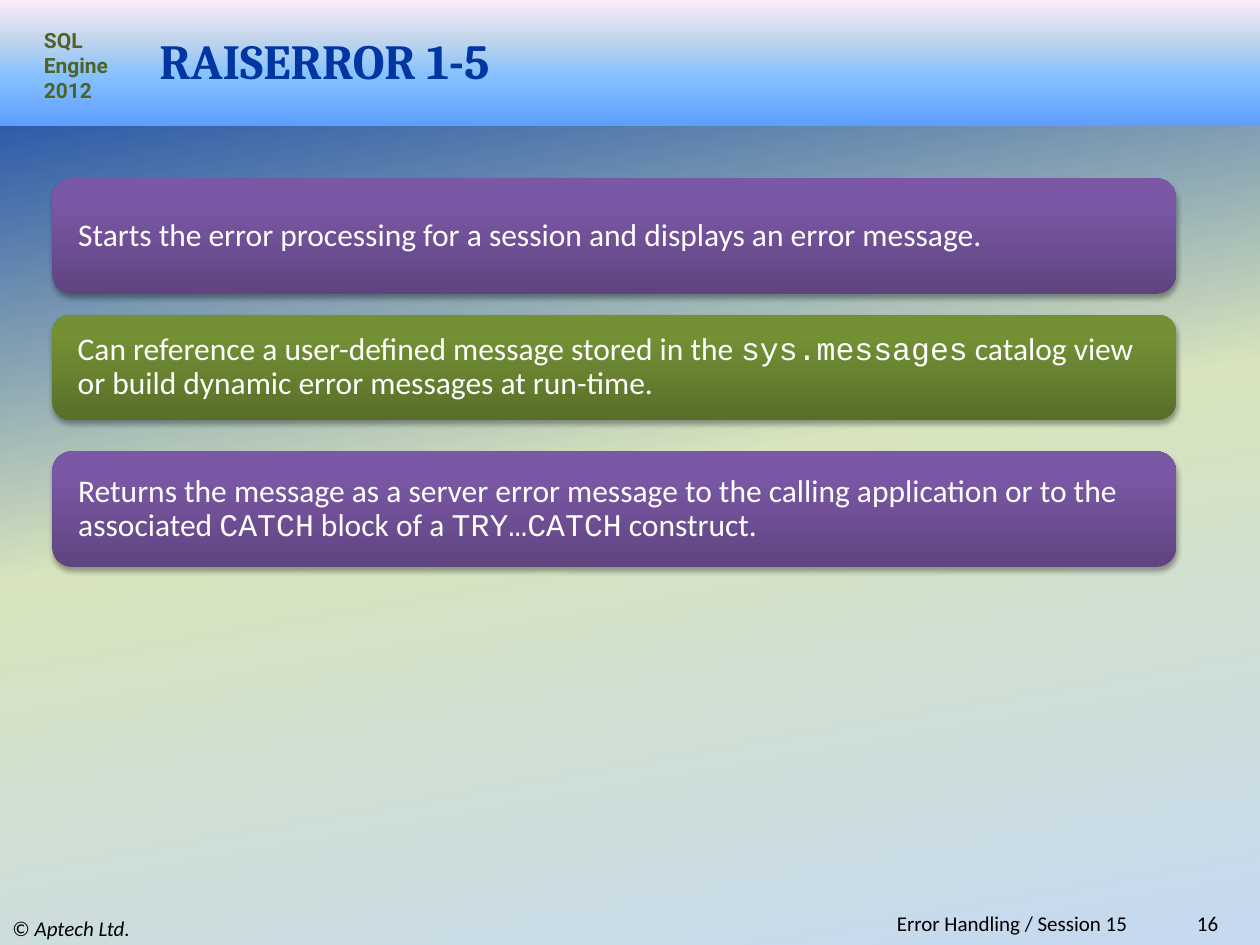
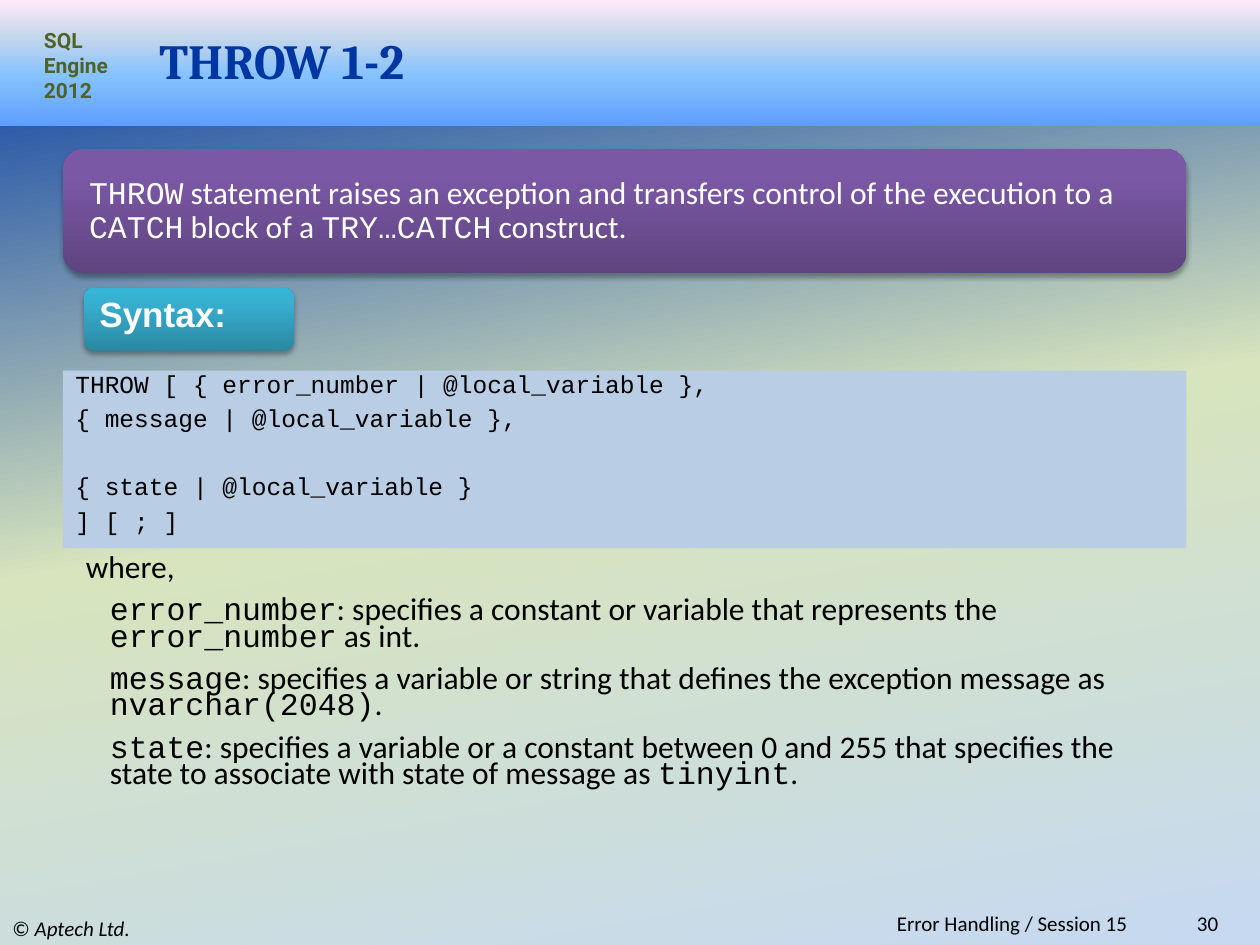
from lxml import etree
from pptx import Presentation
from pptx import util as u
from pptx.dml.color import RGBColor
from pptx.enum import shapes, text
from pptx.oxml import ns

NAVY = RGBColor(0x00, 0x36, 0xA2)
OLIVE = RGBColor(0x4F, 0x62, 0x28)
BLACK = RGBColor(0x00, 0x00, 0x00)
WHITE = RGBColor(0xFF, 0xFF, 0xFF)
PALE_BLUE = RGBColor(0xB9, 0xCD, 0xE5)
LIME = RGBColor(0xD7, 0xE4, 0xBD)
ICE = RGBColor(0xC6, 0xD9, 0xF1)

BACKDROP = [(0, NAVY), (50, LIME), (100, ICE)]
BAND = [(0, RGBColor(0x5E, 0x9E, 0xFF)), (40, RGBColor(0x85, 0xC2, 0xFF)),
        (70, RGBColor(0xC4, 0xD6, 0xEB)), (100, RGBColor(0xFF, 0xEB, 0xFA))]
PURPLE = [(0, RGBColor(0x5F, 0x44, 0x80)), (80, RGBColor(0x7B, 0x58, 0xA6)),
          (100, RGBColor(0x7C, 0x57, 0xA8))]
GREEN = [(0, RGBColor(0x59, 0x6F, 0x29)), (80, RGBColor(0x73, 0x90, 0x35)),
         (100, RGBColor(0x74, 0x93, 0x34))]
TEAL = [(0, RGBColor(0x2A, 0x88, 0xA2)), (80, RGBColor(0x37, 0xB1, 0xD2)),
        (100, RGBColor(0x34, 0xB4, 0xD6))]

BODY, CODE, HEAD, LABEL, BADGE = "Calibri", "Courier New", "Cambria", "Arial", "Roboto"
COLUMNS, ROWS = 120, 90
RECT = shapes.MSO_SHAPE.RECTANGLE
ROUNDED = shapes.MSO_SHAPE.ROUNDED_RECTANGLE
TOP, MIDDLE = text.MSO_ANCHOR.TOP, text.MSO_ANCHOR.MIDDLE
RIGHT = text.PP_ALIGN.RIGHT


def add_node(parent, tag, **attributes):
    node = etree.SubElement(parent, ns.qn(tag))
    for name, value in attributes.items():
        node.set(name, str(value))
    return node


def paint_gradient(fill, owner, stops, angle):
    fill.gradient()
    gradient = next(owner.iter(ns.qn("a:gradFill")))
    for child in list(gradient):
        gradient.remove(child)
    stop_list = add_node(gradient, "a:gsLst")
    for share, color in stops:
        stop = add_node(stop_list, "a:gs", pos=share * 1000)
        add_node(stop, "a:srgbClr", val=color)
    add_node(gradient, "a:lin", ang=angle * 60000, scaled=0)


class Deck:
    def __init__(self):
        self.deck = Presentation()
        self.deck.slide_width, self.deck.slide_height = u.Inches(10), u.Inches(7.5)
        self.page = None

    def cells(self, left, top, width, height):
        column = self.deck.slide_width / COLUMNS
        row = self.deck.slide_height / ROWS
        return [u.Emu(round(n * unit)) for n, unit in
                zip((left, top, width, height), (column, row, column, row))]

    def new_page(self, title, number):
        self.page = self.deck.slides.add_slide(self.deck.slide_layouts[6])
        paint_gradient(self.page.background.fill, self.page.element, BACKDROP, 80)
        self.panel((0, 0, 120, 12), BAND, RECT, shadow=False)
        mark = self.words((0, 86.8, 40, 3.2), ["© "], 12, anchor=MIDDLE)
        self.span(mark.paragraphs[0], "Aptech Ltd.", BODY, 12, BLACK, italic=True)
        self.words((3, 2, 9, 8.5), ["SQL Engine 2012"], 12, OLIVE, BADGE, bold=True)
        self.words((107, 86.8, 10.2, 2.2), [number], 12, anchor=MIDDLE, align=RIGHT)
        self.words((30, 86.8, 79, 2.2), ["Error Handling / Session 15 "], 12,
                   anchor=MIDDLE, align=RIGHT)
        self.words((14, 3, 100, 5.4), [title], 28, NAVY, HEAD, bold=True, anchor=MIDDLE)

    def panel(self, place, fill, kind=ROUNDED, shadow=True):
        box = self.page.shapes.add_shape(kind, *self.cells(*place))
        box.shadow.inherit = False
        box.line.fill.background()
        if isinstance(fill, RGBColor):
            box.fill.solid()
            box.fill.fore_color.rgb = fill
        else:
            paint_gradient(box.fill, box.element, fill, 270)
        if shadow:
            effects = next(box.element.iter(ns.qn("a:effectLst")))
            outer = add_node(effects, "a:outerShdw", blurRad=u.Pt(3.1), dist=u.Pt(1.8),
                             dir=90 * 60000, rotWithShape=0)
            add_node(add_node(outer, "a:srgbClr", val="000000"), "a:alpha", val=35000)
        return box

    def words(self, place, lines, size, color=BLACK, font=BODY, **style):
        box = self.page.shapes.add_textbox(*self.cells(*place))
        return self.fill_text(box, lines, size, color, font, **style)

    def fill_text(self, box, lines, size, color=BLACK, font=BODY, bold=False, anchor=TOP,
                  align=text.PP_ALIGN.LEFT, spacing=None, gaps=None, indent=0, inset=0.1):
        frame = box.text_frame
        frame.word_wrap = True
        frame.vertical_anchor = anchor
        frame.margin_left = frame.margin_right = u.Inches(inset)
        for index, line in enumerate(lines):
            para = frame.add_paragraph() if index else frame.paragraphs[0]
            para.alignment = align
            if spacing:
                para.line_spacing = spacing
            if index and gaps:
                para.space_before = u.Pt(gaps[index - 1])
            if index and indent:
                para._p.get_or_add_pPr().set("marL", str(u.Inches(indent)))
            for part, piece in enumerate(line.split("`")):
                if piece:
                    self.span(para, piece, CODE if part % 2 else font, size, color, bold)
        return frame

    def span(self, para, wording, font, size, color, bold=False, italic=False):
        span = para.add_run()
        span.text = wording
        span.font.name, span.font.size = font, u.Pt(size)
        span.font.bold, span.font.italic = bold, italic
        span.font.color.rgb = color

    def statement(self, place, fill, wording):
        self.fill_text(self.panel(place, fill), [wording], 18, WHITE,
                       anchor=MIDDLE, spacing=0.9, inset=0.16)

    def tag(self, place, wording):
        self.fill_text(self.panel(place, TEAL), [wording], 20, WHITE, LABEL,
                       bold=True, anchor=MIDDLE, spacing=0.7)

    def code(self, place, lines, gaps):
        self.fill_text(self.panel(place, PALE_BLUE, RECT, shadow=False), lines, 14,
                       font=CODE, spacing=0.7, gaps=gaps)

    def definitions(self, place, lines):
        self.words(place, lines, 18, spacing=0.7, gaps=[9] * (len(lines) - 1), indent=0.19)


def main():
    show = Deck()

    show.new_page("RAISERROR 1-5", "16")
    statements = [
        (17, 11, PURPLE,
         "Starts the error processing for a session and displays an error message."),
        (30, 10, GREEN,
         "Can reference a user-defined message stored in the `sys.messages` catalog view "
         "or build dynamic error messages at run-time."),
        (43, 11, PURPLE,
         "Returns the message as a server error message to the calling application or to "
         "the associated `CATCH` block of a `TRY…CATCH` construct."),
    ]
    for top, height, fill, wording in statements:
        show.statement((5, top, 107, height), fill, wording)

    show.new_page("THROW 1-2", "30")
    show.statement((6, 14.2, 107, 11.8), PURPLE,
                   "`THROW` statement raises an exception and transfers control of the "
                   "execution to a `CATCH` block of a `TRY…CATCH` construct.")
    show.code((6, 35.3, 107, 16.9),
              ["THROW [ { error_number | @local_variable },",
               "{ message | @local_variable },",
               "{ state | @local_variable }",
               "] [ ; ]"], gaps=[8, 27, 8])
    show.tag((8, 27.4, 20, 6), "Syntax:")
    show.definitions((7, 52.5, 106, 24.5), [
        "where,",
        "`error_number`: specifies a constant or variable that represents the "
        "`error_number` as int.",
        "`message`: specifies a variable or string that defines the exception message as "
        "`nvarchar(2048)`.",
        "`state`: specifies a variable or a constant between 0 and 255 that specifies the "
        "state to associate with state of message as `tinyint`.",
    ])

    show.deck.save("out.pptx")


if __name__ == "__main__":
    main()
